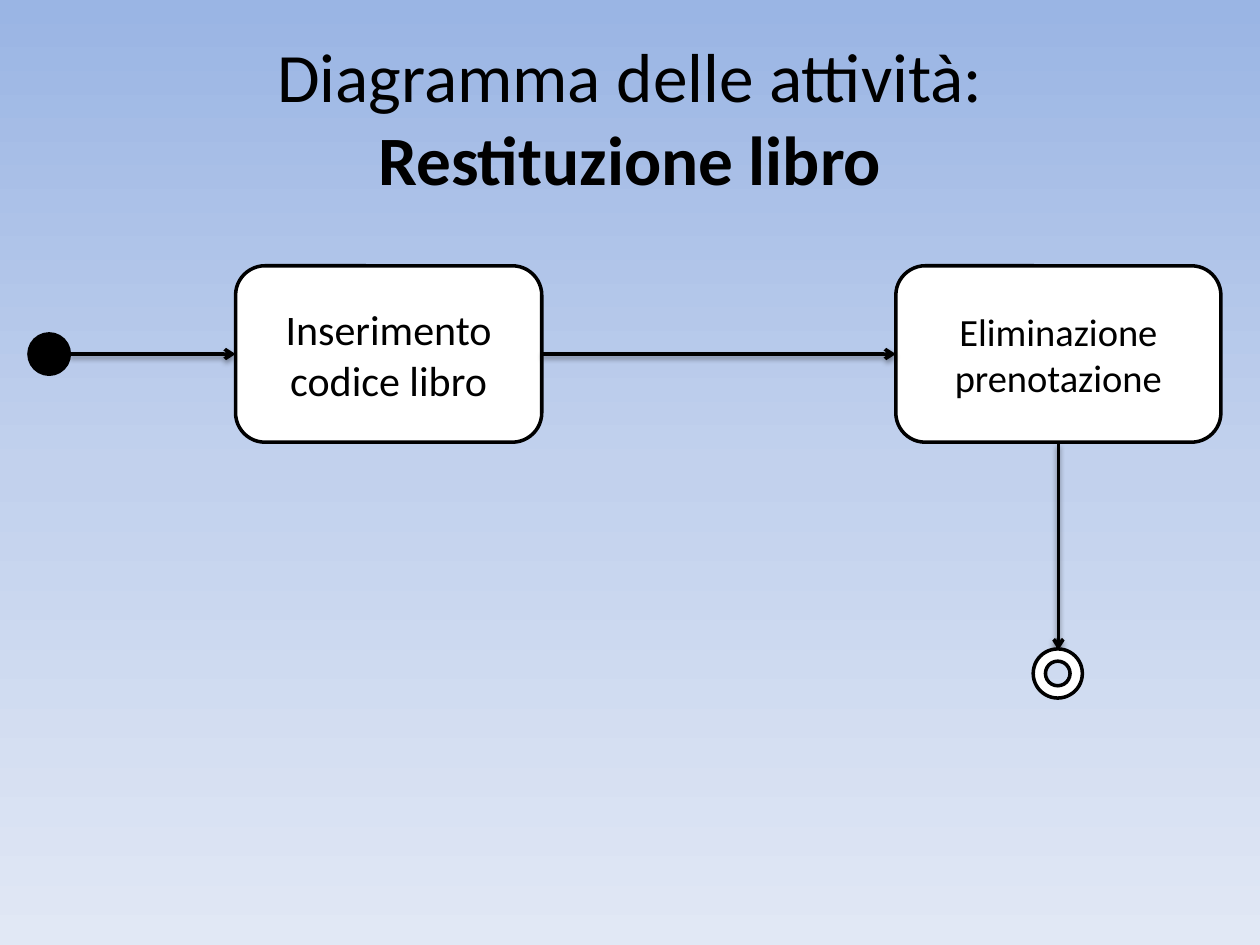
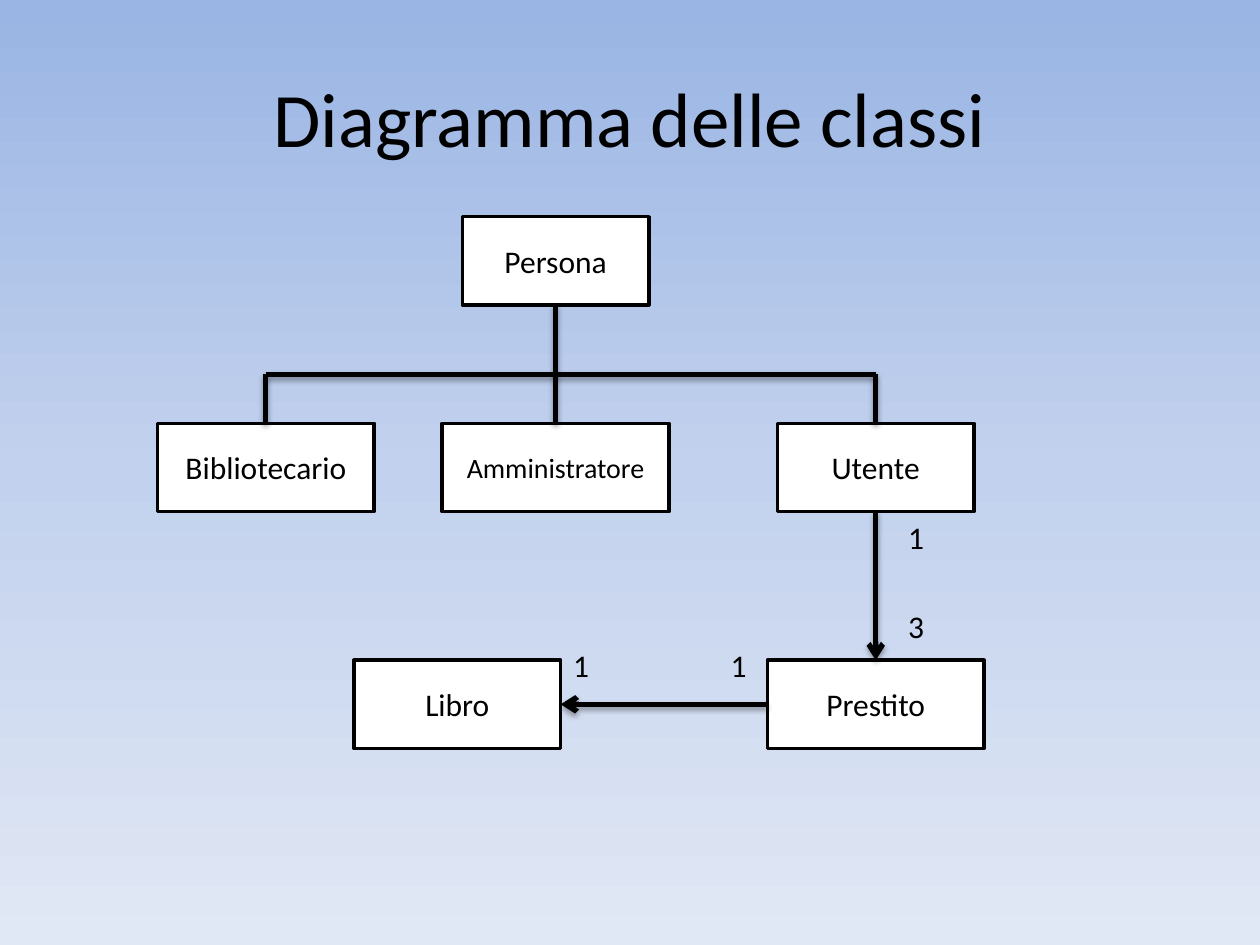
"""Build two UML slides for a library: an activity diagram and a class diagram."""
import copy

import lxml.etree
import pptx
import pptx.dml.color
import pptx.enum.shapes
import pptx.enum.text
import pptx.oxml
import pptx.oxml.ns
import pptx.util

Inches = pptx.util.Inches
Pt = pptx.util.Pt
color = pptx.dml.color.RGBColor.from_string
qn = pptx.oxml.ns.qn
Shape = pptx.enum.shapes.MSO_SHAPE
CENTER = pptx.enum.text.PP_ALIGN.CENTER
MIDDLE = pptx.enum.text.MSO_ANCHOR.MIDDLE
FONT = "Calibri"
INK = "000000"
PAPER = "FFFFFF"
BACKGROUND = [(0, "9AB5E4"), (0.5, "C2D1ED"), (1, "E1E8F5")]


def add_node(page, kind, left, top, width, height, text="", size=18, fill=PAPER):
    """Add an outlined diagram node with centred text."""
    node = page.shapes.add_shape(
        kind, Inches(left), Inches(top), Inches(width), Inches(height))
    node.shadow.inherit = False
    node.fill.solid()
    node.fill.fore_color.rgb = color(fill)
    node.line.color.rgb = color(INK)
    node.line.width = Pt(2)
    if text:
        node.text_frame.text = text
        node.text_frame.vertical_anchor = MIDDLE
        para = node.text_frame.paragraphs[0]
        para.alignment = CENTER
        para.font.name = FONT
        para.font.size = Pt(size)
        para.font.color.rgb = color(INK)


def add_link(page, start, end, width, opacity, distance, arrow=False):
    """Add a straight line with a soft shadow and an optional arrowhead."""
    link = page.shapes.add_connector(
        pptx.enum.shapes.MSO_CONNECTOR.STRAIGHT, *map(Inches, start + end))
    link.line.color.rgb = color(INK)
    link.line.width = Pt(width)
    if arrow:
        outline = link.line._get_or_add_ln()
        lxml.etree.SubElement(outline, qn("a:tailEnd"), type="arrow")
    effects = lxml.etree.SubElement(link._element.spPr, qn("a:effectLst"))
    shadow = lxml.etree.SubElement(
        effects, qn("a:outerShdw"), blurRad=str(Pt(3.1)), dist=str(Pt(distance)),
        dir="5400000", rotWithShape="0")
    tint = lxml.etree.SubElement(shadow, qn("a:srgbClr"), val=INK)
    lxml.etree.SubElement(tint, qn("a:alpha"), val=str(opacity * 1000))


deck = pptx.Presentation()
deck.slide_width = Inches(10)
deck.slide_height = Inches(7.5)

backdrop = deck.slide_master.background.fill
backdrop.gradient()
backdrop.gradient_angle = 270
stop_list = deck.slide_master.element.find(".//" + qn("a:gsLst"))
stop_list.append(copy.deepcopy(stop_list[0]))
for stop, (position, shade) in zip(backdrop.gradient_stops, BACKGROUND):
    stop.position = position
    stop.color.rgb = color(shade)

pages = []
for lines, size in [
    (["Diagramma delle attività:", "Restituzione libro"], 39.6),
    (["Diagramma delle classi"], 44),
]:
    page = deck.slides.add_slide(deck.slide_layouts[6])
    title = page.shapes.add_textbox(Inches(0.5), Inches(0.3), Inches(9), Inches(1.25))
    title.text_frame.word_wrap = True
    title.text_frame.vertical_anchor = MIDDLE
    para = title.text_frame.paragraphs[0]
    para.alignment = CENTER
    para.font.name = FONT
    para.font.size = Pt(size)
    para.font.color.rgb = color(INK)
    for index, line in enumerate(lines):
        if index:
            para.add_line_break()
        span = para.add_run()
        span.text = line
        if index:
            span.font.bold = True
    pages.append(page)
activity_page, class_page = pages

add_node(activity_page, Shape.ROUNDED_RECTANGLE, 1.87, 2.11, 2.43, 1.4,
         "Inserimento codice libro", 24)
add_node(activity_page, Shape.ROUNDED_RECTANGLE, 7.11, 2.11, 2.58, 1.4,
         "Eliminazione prenotazione", 22)
add_node(activity_page, Shape.OVAL, 0.23, 2.65, 0.32, 0.32, fill=INK)
for start, end in [
    ((4.3, 2.81), (7.11, 2.81)),
    ((8.4, 3.52), (8.4, 5.16)),
    ((0.55, 2.81), (1.87, 2.81)),
]:
    add_link(activity_page, start, end, 2, 38, 1.6, arrow=True)
add_node(activity_page, Shape.DONUT, 8.2, 5.15, 0.39, 0.39)

for name, center, top, width, size in [
    ("Persona", 4.41, 1.72, 1.48, 18),
    ("Bibliotecario", 2.11, 3.36, 1.72, 18),
    ("Utente", 6.95, 3.36, 1.56, 18),
    ("Amministratore", 4.41, 3.36, 1.8, 16),
    ("Prestito", 6.95, 5.24, 1.72, 18),
    ("Libro", 3.63, 5.24, 1.64, 18),
]:
    add_node(class_page, Shape.RECTANGLE, center - width / 2, top, width, 0.7, name, size)

for start, end, arrow in [
    ((4.41, 2.42), (4.41, 3.36), False),
    ((6.95, 3.36), (6.95, 2.97), False),
    ((2.11, 3.36), (2.11, 2.97), False),
    ((6.95, 2.97), (2.11, 2.97), False),
    ((6.95, 4.06), (6.95, 5.24), True),
    ((6.09, 5.59), (4.45, 5.59), True),
]:
    add_link(class_page, start, end, 3, 35, 1.8, arrow)

for multiplicity, left, top in [
    ("3", 7.11, 4.77), ("1", 7.11, 4.06), ("1", 4.45, 5.08), ("1", 5.7, 5.08),
]:
    box = class_page.shapes.add_textbox(Inches(left), Inches(top), Inches(0.33), Inches(0.4))
    box.text_frame.text = multiplicity
    box.text_frame.word_wrap = False
    box.text_frame.auto_size = pptx.enum.text.MSO_AUTO_SIZE.SHAPE_TO_FIT_TEXT
    para = box.text_frame.paragraphs[0]
    para.font.name = FONT
    para.font.size = Pt(18)
    para.font.color.rgb = color(INK)

deck.save("out.pptx")
